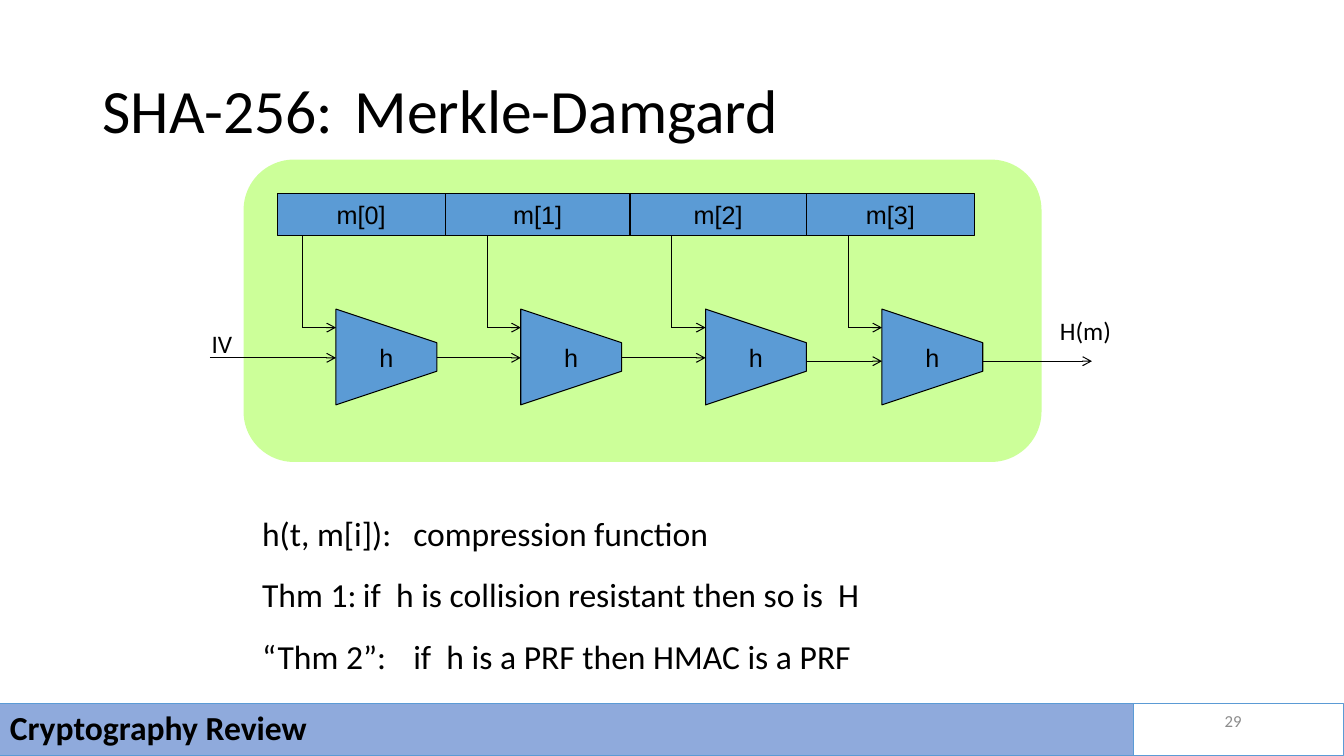
"""Builds the Merkle-Damgard slide on a grid of twelve units to the inch."""
from lxml import etree
from pptx import Presentation, util as u
from pptx.dml.color import RGBColor
from pptx.enum import shapes, text
from pptx.oxml.ns import qn

BLACK = RGBColor(0, 0, 0)
BLUE = RGBColor(0x5B, 0x9B, 0xD5)
GREEN = RGBColor(0xCC, 0xFF, 0x99)
BAR = RGBColor(0x8F, 0xAA, 0xDC)
GREY = RGBColor(0x8C, 0x8C, 0x8C)
LEFT, CENTER, RIGHT = text.PP_ALIGN.LEFT, text.PP_ALIGN.CENTER, text.PP_ALIGN.RIGHT
TOP, MIDDLE = text.MSO_ANCHOR.TOP, text.MSO_ANCHOR.MIDDLE

TITLE = ("SHA-256:\tMerkle-Damgard", 34.1)
STATEMENTS = [
    ("h(t, m[i]):\tcompression function", 17.2),
    ("Thm 1:\tif  h is collision resistant then so is  H", 17.6),
    ("“Thm 2”:\tif  h is a PRF then HMAC is a PRF", 19.3),
]
BLOCKS = ["m[0]", "m[1]", "m[2]", "m[3]"]
BLOCK_EDGES = [33, 53, 75, 96, 116]
BLOCK_TOP, BLOCK_H = 23, 5
STAGES = [40, 62, 84, 105]
STAGE_W, STAGE_MID = 12, 42.5
WIDE, NARROW = 5.7, 1.7
FEED_Y, FEED_GAP = 39, 4
CHAIN_Y = [42.6, 42.6, 42.6, 43, 43]
CHAIN_START, CHAIN_END = 25, 130
SLIDE_W, SLIDE_H = 160, 90
FOOT_TOP, FOOT_SPLIT = 83.8, 134.9


def g(n):
    return u.Emu(round(n * u.Inches(1) / 12))


def write(p, words, tab=None, size=18, name="Calibri", color=BLACK,
          bold=False, **form):
    if tab:
        pPr = p._p.get_or_add_pPr()
        pPr.set("marL", "0")
        pPr.set("indent", "0")
        etree.SubElement(pPr, qn("a:buNone"))
        tabs = etree.SubElement(pPr, qn("a:tabLst"))
        etree.SubElement(tabs, qn("a:tab"), pos=str(g(tab)), algn="l")
    for key, value in form.items():
        setattr(p, key, value)
    r = p.add_run()
    r.text = words
    for key, value in dict(size=u.Pt(size), name=name, bold=bold).items():
        setattr(r.font, key, value)
    r.font.color.rgb = color


def frame(sp, anchor=MIDDLE, wrap=True):
    tf = sp.text_frame
    settings = dict(auto_size=text.MSO_AUTO_SIZE.NONE, word_wrap=wrap,
                    vertical_anchor=anchor)
    for key, value in settings.items():
        setattr(tf, key, value)
    return tf


def paint(sp, fill=None, line=None):
    sp.shadow.inherit = False
    if fill is None:
        sp.fill.background()
    else:
        sp.fill.solid()
        sp.fill.fore_color.rgb = fill
    if line is None:
        sp.line.fill.background()
    else:
        sp.line.color.rgb = line
        sp.line.width = u.Pt(0.75)
    return sp


def box(s, at, fill=None, line=None, kind=shapes.MSO_SHAPE.RECTANGLE):
    return paint(s.shapes.add_shape(kind, *map(g, at)), fill, line)


def label(s, at, words, anchor=TOP, wrap=False, **form):
    sp = s.shapes.add_textbox(*map(g, at))
    write(frame(sp, anchor, wrap).paragraphs[0], words, **form)


def line(s, x1, y1, x2, y2, arrow=False):
    c = s.shapes.add_connector(shapes.MSO_CONNECTOR.STRAIGHT,
                               *map(g, (x1, y1, x2, y2)))
    c.line.color.rgb = BLACK
    c.line.width = u.Pt(0.75)
    if arrow:
        etree.SubElement(c.line._get_or_add_ln(), qn("a:tailEnd"), type="arrow")
    etree.SubElement(c._element.spPr, qn("a:effectLst"))


def stage(s, x):
    corners = [(x, STAGE_MID - WIDE), (x + STAGE_W, STAGE_MID - NARROW),
               (x + STAGE_W, STAGE_MID + NARROW), (x, STAGE_MID + WIDE)]
    points = [(g(a), g(b)) for a, b in corners]
    fb = s.shapes.build_freeform(*points[0], scale=1.0)
    fb.add_line_segments(points[1:], close=True)
    return paint(fb.convert_to_shape(), BLUE, BLACK)


def place(sp, at):
    for key, value in zip(("left", "top", "width", "height"), at):
        setattr(sp, key, g(value))


def add_text(s):
    title, body = s.placeholders
    place(title, (11, 4.8, 138, 17.4))
    words, tab = TITLE
    write(frame(title).paragraphs[0], words, tab, size=44,
          alignment=LEFT, line_spacing=0.9)
    place(body, (30, 61, 107, 21))
    tf = frame(body, TOP)
    for i, (words, tab) in enumerate(STATEMENTS):
        p = tf.add_paragraph() if i else tf.paragraphs[0]
        write(p, words, tab, size=24, line_spacing=0.9,
              space_before=u.Pt(18 if i else 0))


def add_diagram(s):
    panel = box(s, (29, 19, 95, 36), GREEN,
                kind=shapes.MSO_SHAPE.ROUNDED_RECTANGLE)
    panel.adjustments[0] = 0.167
    for words, x, end, h_x in zip(BLOCKS, BLOCK_EDGES, BLOCK_EDGES[1:], STAGES):
        block = box(s, (x, BLOCK_TOP, end - x, BLOCK_H), BLUE, BLACK)
        for sp, caption in ((block, words), (stage(s, h_x), "h")):
            write(frame(sp, wrap=False).paragraphs[0], caption,
                  name="Arial", alignment=CENTER)
        feed_x = h_x - FEED_GAP
        line(s, feed_x, BLOCK_TOP + BLOCK_H, feed_x, FEED_Y)
        line(s, feed_x, FEED_Y, h_x, FEED_Y, arrow=True)
    starts = [CHAIN_START] + [x + STAGE_W for x in STAGES]
    for start, end, y in zip(starts, STAGES + [CHAIN_END], CHAIN_Y):
        line(s, start, y, end, y, arrow=True)
    label(s, (24, 38.5, 4.9, 4.8), "IV")
    label(s, (125, 37, 8.6, 4.8), "H(m)")


def add_footer(s):
    height = SLIDE_H - FOOT_TOP
    bar = box(s, (0, FOOT_TOP, FOOT_SPLIT, height), BAR, BLUE)
    write(frame(bar).paragraphs[0], "Cryptography Review", size=24, bold=True,
          alignment=LEFT, line_spacing=0.9)
    box(s, (FOOT_SPLIT, FOOT_TOP, SLIDE_W - FOOT_SPLIT, height), line=BLUE)
    label(s, (113, 83.4, 36, 4.8), "29", MIDDLE, True, size=12, color=GREY,
          alignment=RIGHT)


def main():
    prs = Presentation()
    prs.slide_width, prs.slide_height = g(SLIDE_W), g(SLIDE_H)
    s = prs.slides.add_slide(prs.slide_layouts[1])
    add_text(s)
    add_diagram(s)
    add_footer(s)
    prs.save("out.pptx")


if __name__ == "__main__":
    main()
